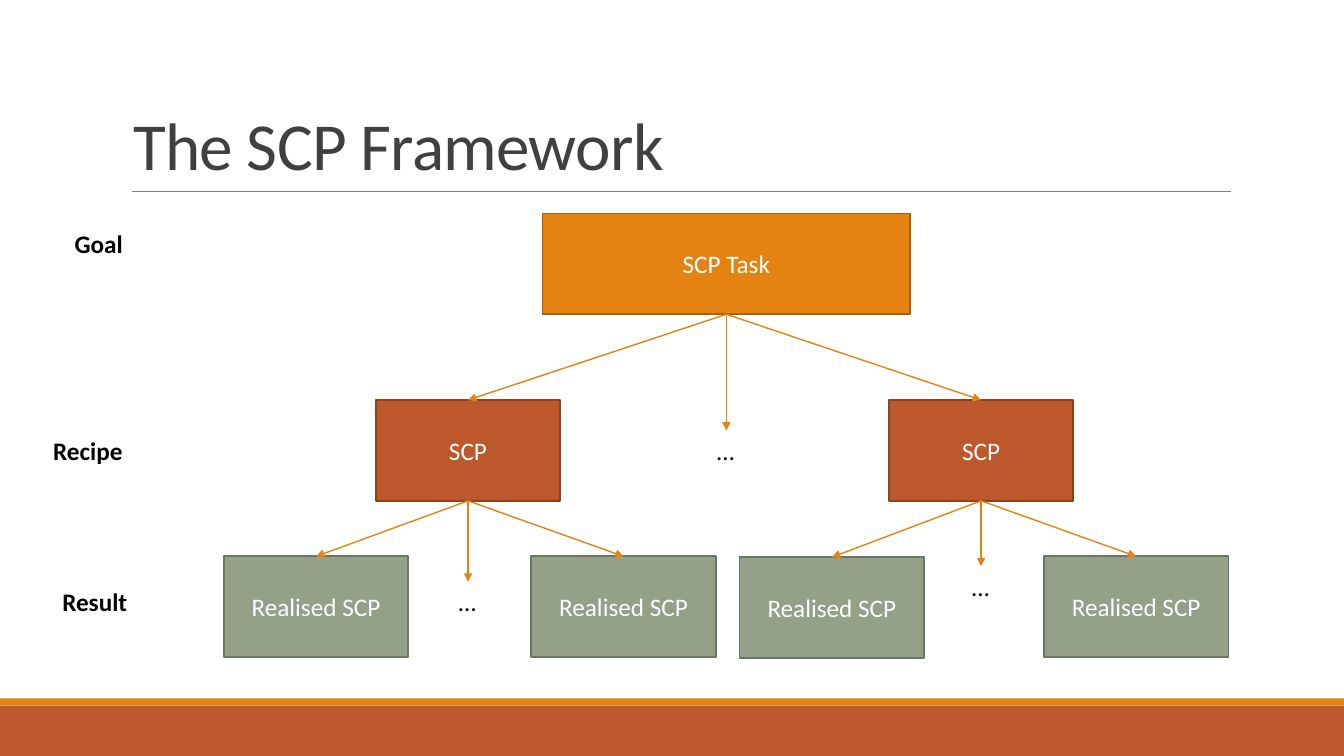
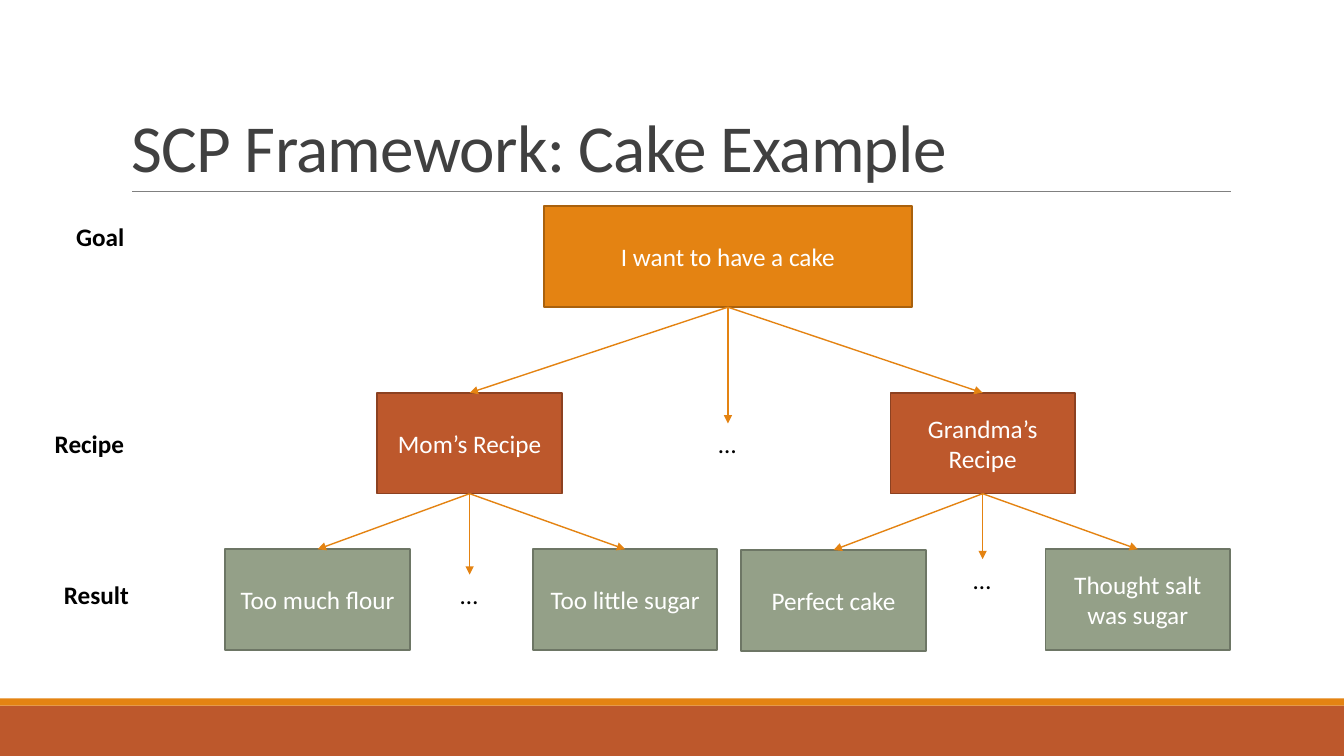
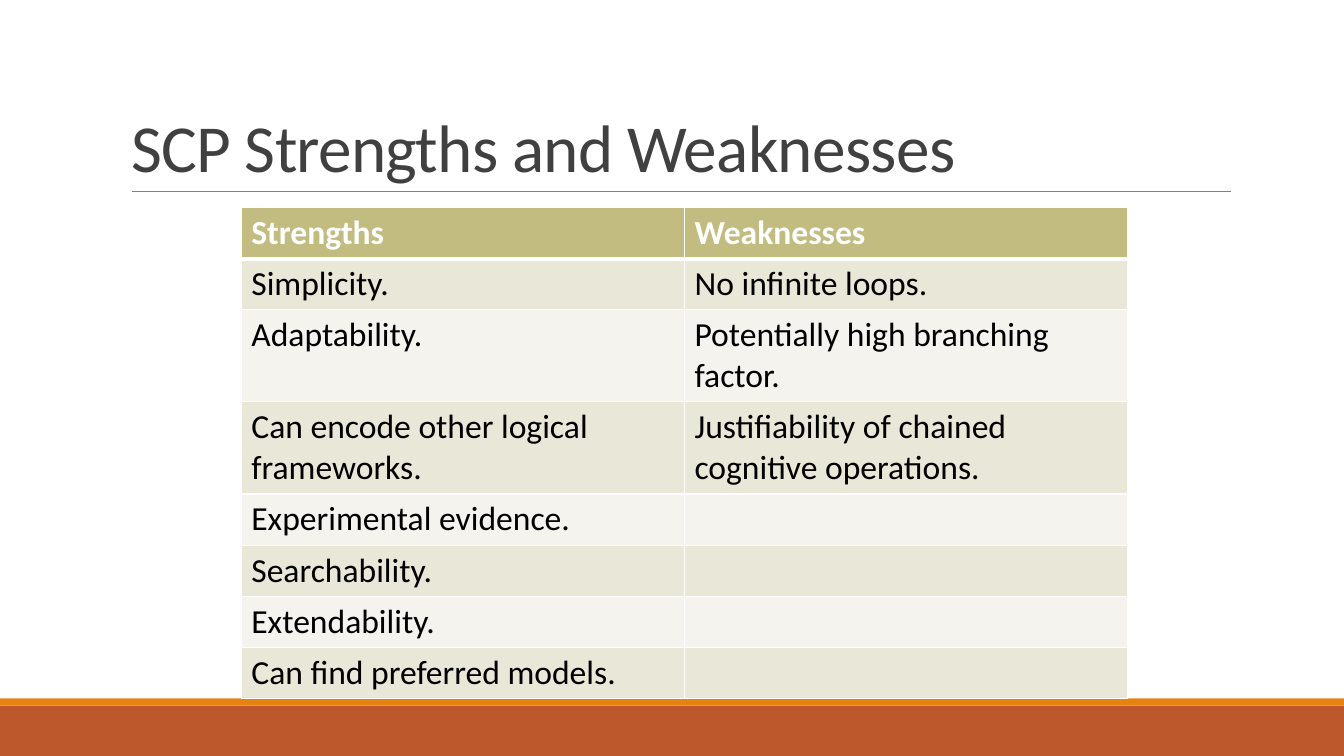
from dataclasses import dataclass

from lxml import etree
from pptx import Presentation
from pptx import util as u
from pptx.dml.color import RGBColor
from pptx.enum import shapes, text
from pptx.oxml import ns

# Theme shared by all slides
FONT = "Calibri"
ORANGE = RGBColor(0xE4, 0x83, 0x12)
ORANGE_EDGE = RGBColor(0xA9, 0x61, 0x0D)
RUST = RGBColor(0xBD, 0x58, 0x2C)
RUST_EDGE = RGBColor(0x8C, 0x41, 0x21)
SAGE = RGBColor(0x94, 0xA0, 0x88)
SAGE_EDGE = RGBColor(0x6D, 0x76, 0x65)
KHAKI = RGBColor(0xC2, 0xBC, 0x80)
BAND_DARK = RGBColor(0xE9, 0xE7, 0xD8)
BAND_LIGHT = RGBColor(0xF4, 0xF3, 0xED)
GREY = RGBColor(0x80, 0x80, 0x80)
TITLE_GREY = RGBColor(0x40, 0x40, 0x40)
WHITE = RGBColor(0xFF, 0xFF, 0xFF)
BLACK = RGBColor(0, 0, 0)

BOX_H = 2.54
LABEL_H = 1.02
DOTS_W = 0.97


@dataclass(frozen=True)
class Level:
    """Look of one level of the tree, lengths in cm."""
    fill: RGBColor
    edge: RGBColor
    width: float


@dataclass(frozen=True)
class Place:
    """Top left corner of a box, in cm."""
    x: float
    y: float


@dataclass(frozen=True)
class Label:
    text: str
    x: float
    y: float
    width: float


@dataclass(frozen=True)
class Recipe:
    """A recipe box, its two results and the height of the dots between."""
    place: Place
    results: tuple[Place, Place]
    dots_y: float


@dataclass(frozen=True)
class Tree:
    """Wording of one tree: each recipe comes with its two results."""
    goal: str
    recipes: tuple[tuple[str, tuple[str, str]], ...]


GOAL_LEVEL = Level(ORANGE, ORANGE_EDGE, 9.27)
RECIPE_LEVEL = Level(RUST, RUST_EDGE, 4.65)
RESULT_LEVEL = Level(SAGE, SAGE_EDGE, 4.65)

GOAL = Place(13.67, 5.38)
RECIPES = (
    Recipe(Place(9.47, 10.08), (Place(5.64, 14.02), Place(13.39, 14.02)), 14.66),
    Recipe(Place(22.4, 10.08), (Place(18.64, 14.04), Place(26.31, 14.02)), 14.27),
)
GOAL_DOTS_Y = 10.85
LABELS = (
    Label("Goal", 1.63, 5.64, 1.73),
    Label("Recipe", 1.09, 10.85, 2.26),
    Label("Result", 1.32, 14.66, 2.16),
)

FRAMEWORK = Tree("SCP Task", (("SCP", ("Realised SCP",) * 2),) * 2)
CAKE = Tree("I want to have a cake", (
    ("Mom’s Recipe", ("Too much flour", "Too little sugar")),
    ("Grandma’s Recipe", ("Perfect cake", "Thought salt was sugar")),
))
STRENGTHS = (
    ("Strengths", "Weaknesses"),
    ("Simplicity.", "No infinite loops."),
    ("Adaptability.", "Potentially high branching factor."),
    ("Can encode other logical frameworks.",
     "Justifiability of chained cognitive operations."),
    ("Experimental evidence.", ""),
    ("Searchability.", ""),
    ("Extendability.", ""),
    ("Can find preferred models.", ""),
)
TALL_ROWS = (2, 3)


def style_text(tf, size: float, color: RGBColor, bold: bool = False) -> None:
    for p in tf.paragraphs:
        for r in p.runs:
            r.font.name = FONT
            r.font.size = u.Pt(size)
            r.font.bold = bold
            r.font.color.rgb = color


def add_rect(s, x: float, y: float, w: float, h: float, fill: RGBColor):
    sp = s.shapes.add_shape(shapes.MSO_SHAPE.RECTANGLE,
                            u.Cm(x), u.Cm(y), u.Cm(w), u.Cm(h))
    sp.shadow.inherit = False
    sp.fill.solid()
    sp.fill.fore_color.rgb = fill
    sp.line.fill.background()
    return sp


def add_line(s, x1: int, y1: int, x2: int, y2: int,
             color: RGBColor, width: float, arrow: bool = False):
    """Straight line between two points given in EMU."""
    c = s.shapes.add_connector(shapes.MSO_CONNECTOR.STRAIGHT, x1, y1, x2, y2)
    c.line.color.rgb = color
    c.line.width = u.Pt(width)
    sp_pr = c.element.spPr
    if arrow:
        etree.SubElement(sp_pr.find(ns.qn("a:ln")), ns.qn("a:tailEnd"),
                         type="triangle")
    etree.SubElement(sp_pr, ns.qn("a:effectLst"))
    return c


def decorate_layout(s) -> None:
    """Draw the footer bands and title rule, then move them to the layout."""
    parts = (
        add_rect(s, 0, 17.78, 33.87, 1.27, RUST),
        add_rect(s, 0, 17.6, 33.87, 0.18, ORANGE),
        add_line(s, u.Cm(3.33), u.Cm(4.83), u.Cm(31.01), u.Cm(4.83), GREY, 0.5),
    )
    for part in parts:
        s.slide_layout.shapes.element.append(part.element)


def set_title(s, title: str, x: float = 3.05, y: float = 0.79) -> None:
    sp = s.shapes.title
    sp.left, sp.top, sp.width, sp.height = map(u.Cm, (x, y, 27.94, 4.04))
    tf = sp.text_frame
    tf.text = title
    tf.auto_size = text.MSO_AUTO_SIZE.NONE
    tf.vertical_anchor = text.MSO_ANCHOR.BOTTOM
    p = tf.paragraphs[0]
    p.alignment = text.PP_ALIGN.LEFT
    p.line_spacing = 0.85
    style_text(tf, 48, TITLE_GREY)
    p.runs[0].font._element.set("spc", "-50")


def add_box(s, wording: str, x: float, y: float, level: Level):
    sp = add_rect(s, x, y, level.width, BOX_H, level.fill)
    sp.line.color.rgb = level.edge
    sp.line.width = u.Pt(1.25)
    tf = sp.text_frame
    tf.text = wording
    tf.vertical_anchor = text.MSO_ANCHOR.MIDDLE
    tf.paragraphs[0].alignment = text.PP_ALIGN.CENTER
    style_text(tf, 18, WHITE)
    return sp


def add_label(s, wording: str, x: float, y: float, w: float, bold: bool = False):
    sp = s.shapes.add_textbox(u.Cm(x), u.Cm(y), u.Cm(w), u.Cm(LABEL_H))
    tf = sp.text_frame
    tf.text = wording
    tf.word_wrap = False
    tf.auto_size = text.MSO_AUTO_SIZE.SHAPE_TO_FIT_TEXT
    style_text(tf, 18, BLACK, bold)
    return sp


def add_dots(s, parent, y: float):
    """Ellipsis centred below its parent box."""
    center = u.Emu(parent.left + parent.width // 2).cm
    return add_label(s, "…", center - DOTS_W / 2, y, DOTS_W)


def add_arrows(s, parent, children) -> None:
    """Arrows from the parent's bottom centre to each child's top centre."""
    x = parent.left + parent.width // 2
    y = parent.top + parent.height
    for child in children:
        c = add_line(s, x, y, child.left + child.width // 2, child.top,
                     ORANGE, 1, arrow=True)
        c.begin_connect(parent, 2)
        c.end_connect(child, 0)


def add_tree(s, tree: Tree, dx: float = 0, dy: float = 0) -> None:
    """Goal, recipes and results, the whole tree moved by dx and dy."""
    goal = add_box(s, tree.goal, GOAL.x + dx, GOAL.y + dy, GOAL_LEVEL)
    recipes = []
    for slot, (name, outcomes) in zip(RECIPES, tree.recipes):
        recipe = add_box(s, name, slot.place.x + dx, slot.place.y + dy,
                         RECIPE_LEVEL)
        results = [add_box(s, outcome, at.x + dx, at.y + dy, RESULT_LEVEL)
                   for at, outcome in zip(slot.results, outcomes)]
        dots = add_dots(s, recipe, slot.dots_y + dy)
        add_arrows(s, recipe, [*results, dots])
        recipes.append(recipe)
    add_arrows(s, goal, [*recipes, add_dots(s, goal, GOAL_DOTS_Y + dy)])
    for label in LABELS:
        add_label(s, label.text, label.x + dx, label.y + dy, label.width, bold=True)


def set_borders(cell, top: float, bottom: float) -> None:
    """White borders; they come before the fill in the cell properties."""
    tc_pr = cell._tc.get_or_add_tcPr()
    widths = (("L", 1), ("R", 1), ("T", top), ("B", bottom))
    for i, (side, width) in enumerate(widths):
        ln = etree.Element(ns.qn(f"a:ln{side}"), w=str(u.Pt(width)))
        fill = etree.SubElement(ln, ns.qn("a:solidFill"))
        etree.SubElement(fill, ns.qn("a:srgbClr"), val=str(WHITE))
        tc_pr.insert(i, ln)


def add_strengths_table(s) -> None:
    table = s.shapes.add_table(len(STRENGTHS), 2, u.Cm(6.08), u.Cm(5.23),
                               u.Cm(22.34), u.Cm(11.96)).table
    for i, row in enumerate(STRENGTHS):
        table.rows[i].height = u.Cm(2.26 if i in TALL_ROWS else 1.24)
        header = i == 0
        band = KHAKI if header else BAND_DARK if i % 2 else BAND_LIGHT
        for j, wording in enumerate(row):
            cell = table.cell(i, j)
            cell.text = wording
            cell.fill.solid()
            cell.fill.fore_color.rgb = band
            set_borders(cell, top=3 if i == 1 else 1, bottom=3 if header else 1)
            style_text(cell.text_frame, 24, WHITE if header else BLACK, header)


def main() -> None:
    prs = Presentation()
    prs.slide_width, prs.slide_height = u.Cm(33.87), u.Cm(19.05)
    layout = prs.slide_layouts[5]

    # Framework
    s = prs.slides.add_slide(layout)
    decorate_layout(s)
    set_title(s, "The SCP Framework", 3.1, 0.74)
    add_tree(s, FRAMEWORK)

    # Cake example
    s = prs.slides.add_slide(layout)
    set_title(s, "SCP Framework: Cake Example")
    add_tree(s, CAKE, dx=0.04, dy=-0.18)

    # Strengths and weaknesses
    s = prs.slides.add_slide(layout)
    set_title(s, "SCP Strengths and Weaknesses")
    add_strengths_table(s)

    prs.save("out.pptx")


if __name__ == "__main__":
    main()
